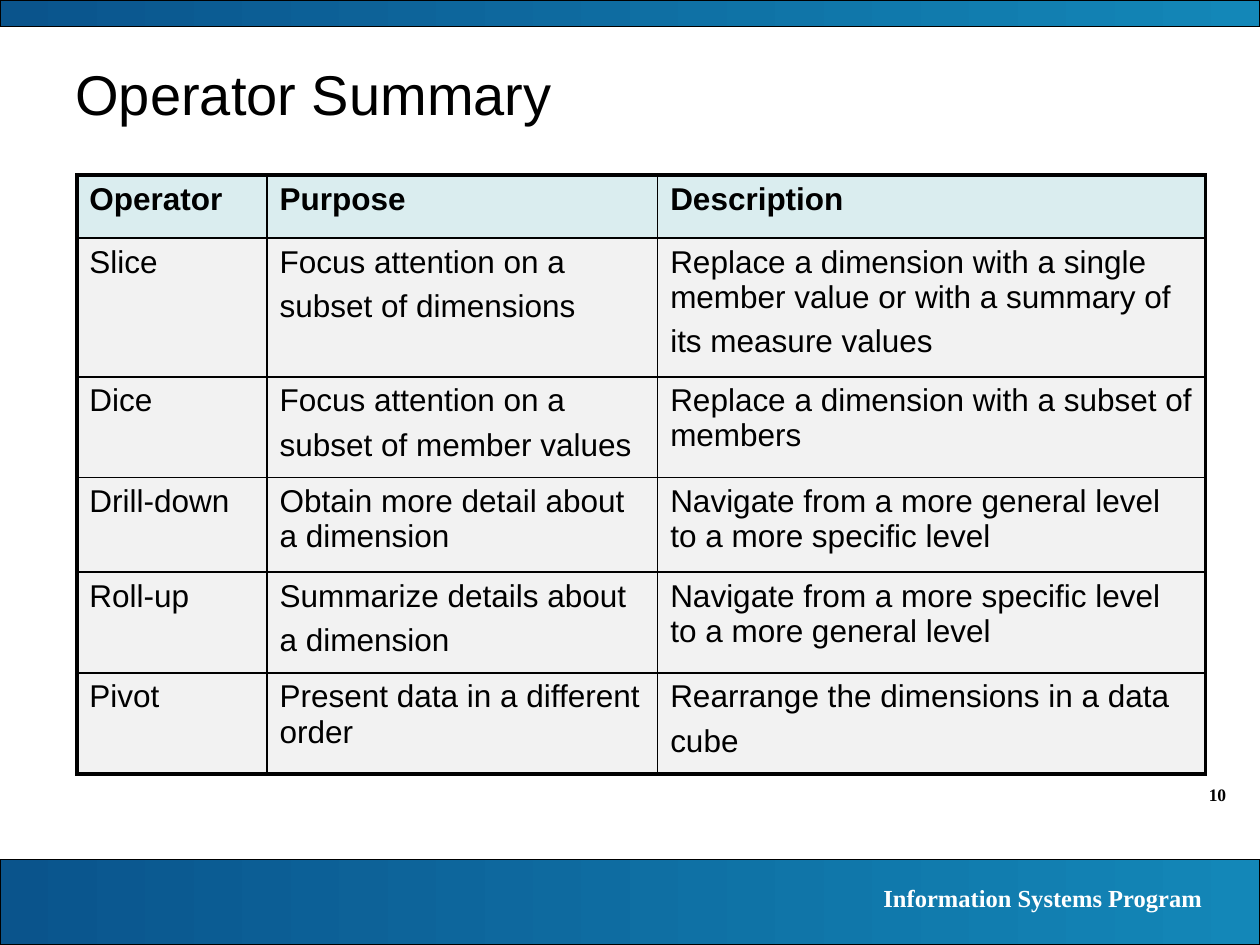
from lxml import etree
from pptx import Presentation, util as u
from pptx.dml.color import RGBColor
from pptx.enum import shapes, text
from pptx.oxml import ns

BLACK = RGBColor(0, 0, 0)
WHITE = RGBColor(255, 255, 255)
NAVY = RGBColor(0x0A, 0x54, 0x8C)
TEAL = RGBColor(0x13, 0x87, 0xB8)
MINT = RGBColor(0xDA, 0xED, 0xEF)
GREY = RGBColor(0xF2, 0xF2, 0xF2)
SANS, SERIF = "Arial", "Times New Roman"
LEFT, RIGHT = text.PP_ALIGN.LEFT, text.PP_ALIGN.RIGHT

BANDS = [(0, 0.21), (6.82, 0.68)]
LABELS = [
    ("Operator Summary", (0.5, 0.42, 8.75, 1.25), SANS, 32, False, BLACK, LEFT),
    ("10", (9, 6.17, 0.83, 0.27), SERIF, 10, True, BLACK, RIGHT),
    ("Information Systems Program", (5.55, 6.96, 4.09, 0.34), SERIF, 14, True, WHITE, RIGHT),
]
COLS = [1.51, 3.1, 4.35]
ROWS = [0.5, 0.75, 0.75, 0.75, 0.75, 0.7]
GRID = [
    ("Operator", "Purpose", "Description"),
    ("Slice", "Focus attention on a subset of dimensions ",
     "Replace a dimension with a single member value or with a summary of its measure values "),
    ("Dice", "Focus attention on a subset of member values ",
     "Replace a dimension with a subset of members"),
    ("Drill-down", "Obtain more detail about a dimension",
     "Navigate from a more general level to a more specific level"),
    ("Roll-up", "Summarize details about a dimension ",
     "Navigate from a more specific level to a more general level"),
    ("Pivot", "Present data in a different order",
     "Rearrange the dimensions in a data cube "),
]


def write(para, words, face, size, bold, color):
    run = para.add_run()
    run.text = words
    font = run.font
    font.name, font.size, font.bold = face, u.Pt(size), bold
    font.color.rgb = color


def edge(cell, side, width):
    props = cell._tc.get_or_add_tcPr()
    line = etree.SubElement(props, ns.qn("a:ln" + side), w=str(u.Pt(width)))
    fill = etree.SubElement(line, ns.qn("a:solidFill"))
    etree.SubElement(fill, ns.qn("a:srgbClr"), val=str(BLACK))


def band(slide, top, high, wide):
    bar = slide.shapes.add_shape(
        shapes.MSO_SHAPE.RECTANGLE, 0, u.Inches(top), wide, u.Inches(high))
    bar.shadow.inherit = False
    bar.fill.gradient()
    bar.fill.gradient_angle = 0
    for stop, color, place in zip(bar.fill.gradient_stops, (NAVY, TEAL), (0, 1)):
        stop.color.rgb = color
        stop.position = place
    bar.line.color.rgb = BLACK
    bar.line.width = u.Pt(0.75)


def label(slide, words, box, face, size, bold, color, align):
    frame = slide.shapes.add_textbox(*map(u.Inches, box)).text_frame
    frame.word_wrap = True
    para = frame.paragraphs[0]
    para.alignment = align
    write(para, words, face, size, bold, color)


def table(slide):
    box = map(u.Inches, (0.61, 1.39, sum(COLS), sum(ROWS)))
    grid = slide.shapes.add_table(len(ROWS), len(COLS), *box).table
    grid.first_row = grid.horz_banding = False
    for col, wide in zip(grid.columns, COLS):
        col.width = u.Inches(wide)
    for row, high in zip(grid.rows, ROWS):
        row.height = u.Inches(high)
    for r, line in enumerate(GRID):
        for c, words in enumerate(line):
            cell = grid.cell(r, c)
            outer = {"L": c == 0, "R": c == len(COLS) - 1,
                     "T": r == 0, "B": r == len(ROWS) - 1}
            for side, thick in outer.items():
                edge(cell, side, 2.25 if thick else 1)
            cell.fill.solid()
            cell.fill.fore_color.rgb = GREY if r else MINT
            para = cell.text_frame.paragraphs[0]
            write(para, words.rstrip(), SANS, 18, r == 0, BLACK)
            if words.endswith(" "):
                write(para, " ", SANS, 24, False, BLACK)


def main():
    deck = Presentation()
    deck.slide_width, deck.slide_height = u.Inches(10), u.Inches(7.5)
    slide = deck.slides.add_slide(deck.slide_layouts[6])
    for top, high in BANDS:
        band(slide, top, high, deck.slide_width)
    for item in LABELS:
        label(slide, *item)
    table(slide)
    deck.save("out.pptx")


if __name__ == "__main__":
    main()
